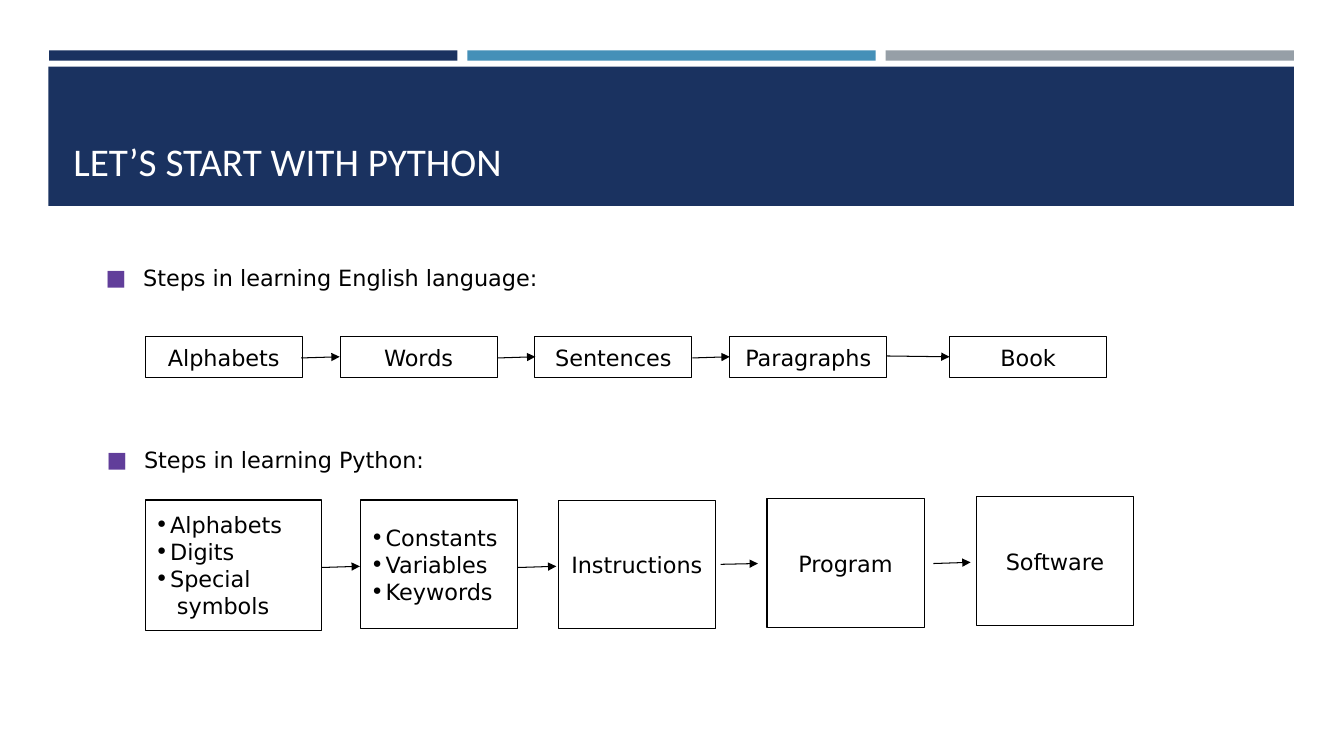
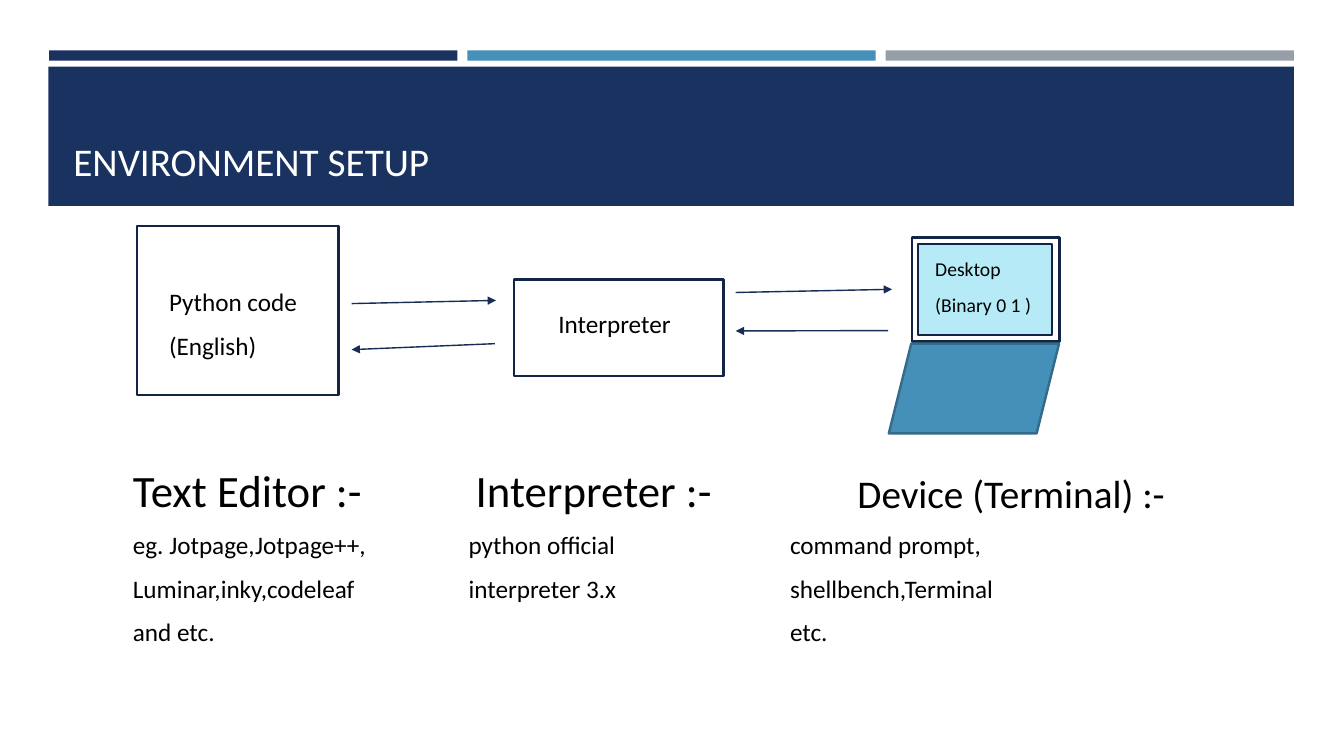
import pptx
import pptx.util
import pptx.dml.color
import pptx.enum.shapes
import pptx.enum.text
import pptx.oxml
import pptx.oxml.ns

Cm = pptx.util.Cm
Pt = pptx.util.Pt
KIND = pptx.enum.shapes.MSO_SHAPE
ALIGN = pptx.enum.text.PP_ALIGN
ANCHOR = pptx.enum.text.MSO_ANCHOR
RGB = pptx.dml.color.RGBColor.from_string
NS = pptx.oxml.ns.nsdecls("a")

HUES = {
    "navy": "1A3260", "blue": "4590B8", "grey": "969FA7",
    "edge": "132547", "rim": "336B88", "arrow": "172D56",
    "sky": "B5EAF6", "mark": "613E9A", "white": "FFFFFF", "black": "000000",
}
SANS = "DejaVu Sans"
BODY = "Calibri"


def draw(slide, at, fill=None, line=None, width=0.75, kind=KIND.RECTANGLE):
    shape = slide.shapes.add_shape(kind, *map(Cm, at))
    shape.shadow.inherit = False
    if fill:
        shape.fill.solid()
        shape.fill.fore_color.rgb = RGB(HUES[fill])
    else:
        shape.fill.background()
    if line:
        shape.line.color.rgb = RGB(HUES[line])
        shape.line.width = Pt(width)
    else:
        shape.line.fill.background()
    return shape


def write(shape, text, size, font=BODY, hue="black", anchor=ANCHOR.TOP,
          align=ALIGN.LEFT, lead=1, after=0, inset=(0.25, 0.13)):
    frame = shape.text_frame
    frame.text = text
    frame.word_wrap = True
    frame.vertical_anchor = anchor
    frame.margin_left, frame.margin_top = map(Cm, inset)
    for para in frame.paragraphs:
        para.alignment = align
        para.line_spacing = lead
        para.space_after = Pt(after)
        for run in para.runs:
            run.font.size = Pt(size)
            run.font.name = font
            run.font.color.rgb = RGB(HUES[hue])
    return frame.paragraphs


deck = pptx.Presentation()
deck.slide_width = Cm(33.87)
deck.slide_height = Cm(19.05)

slides = []
for title in ("LET’S START WITH PYTHON", "ENVIRONMENT SETUP"):
    slide = deck.slides.add_slide(deck.slide_layouts[6])
    for i, hue in enumerate(("navy", "blue", "grey")):
        draw(slide, (1.24 + 10.54 * i, 1.27, 10.29, 0.26), hue)
    draw(slide, (1.22, 1.68, 31.39, 3.51), "navy")
    box = slide.shapes.add_textbox(Cm(1.6), Cm(2.03), Cm(30.63), Cm(2.74))
    write(box, title, 28, hue="white", anchor=ANCHOR.BOTTOM)
    slides.append(slide)
steps, setup = slides

bullets = []
for left, top, text in (
    (2.39, 6.38, "Steps in learning English language:"),
    (2.41, 10.97, "Steps in learning Python:"),
):
    box = steps.shapes.add_textbox(Cm(left), Cm(top), Cm(20.6), Cm(1.2))
    para = write(box, text, 16, SANS, lead=1.2)[0]
    para.space_before = Pt(3.2)
    bullets.append((para, "▪", 0.97, "mark", 150))

words = ("Alphabets", "Words", "Sentences", "Paragraphs")
cells = [(word, (3.66 + 4.91 * i, 8.48, 3.96, 1.04)) for i, word in enumerate(words)]
cells += [
    ("Book", (23.93, 8.48, 3.96, 1.04)),
    ("Instructions", (14.07, 12.62, 3.96, 3.23)),
    ("Program", (19.33, 12.57, 3.96, 3.25)),
    ("Software", (24.61, 12.52, 3.96, 3.25)),
]
for text, at in cells:
    box = draw(steps, at, "white", "black")
    write(box, text, 16, SANS, anchor=ANCHOR.MIDDLE, align=ALIGN.CENTER)

for text, at in (
    ("Alphabets\nDigits\nSpecial\nsymbols", (3.66, 12.6, 4.45, 3.28)),
    ("Constants\nVariables\nKeywords", (9.09, 12.6, 3.96, 3.25)),
):
    box = draw(steps, at, "white", "black")
    for para in write(box, text, 16, SANS, anchor=ANCHOR.MIDDLE):
        if para.text == "symbols":
            para._p.get_or_add_pPr().set("marL", str(Cm(0.55)))
        else:
            bullets.append((para, "•", 0.38, "black", 100))

for para, char, dent, hue, size in bullets:
    props = para._p.get_or_add_pPr()
    props.set("marL", str(Cm(dent)))
    props.set("indent", str(-Cm(dent)))
    for tag in (
        f'<a:buClr {NS}><a:srgbClr val="{HUES[hue]}"/></a:buClr>',
        f'<a:buSzPct {NS} val="{size * 1000}"/>',
        f'<a:buFont {NS} typeface="{SANS}"/>',
        f'<a:buChar {NS} char="{char}"/>',
    ):
        props.append(pptx.oxml.parse_xml(tag))

code = draw(setup, (3.45, 5.69, 5.08, 4.27), None, "edge", 1.75)
write(code, "Python code\n(English)", 18, lead=1.07, after=8, inset=(0.81, 1.48))
draw(setup, (22.99, 5.99, 3.71, 2.62), None, "edge", 1.75)
draw(setup, (22.4, 8.66, 4.29, 2.26), "blue", "rim", 1.75, KIND.PARALLELOGRAM)
screen = draw(setup, (23.14, 6.15, 3.38, 2.29), "sky", "edge", 1.75)
write(screen, "Desktop\n(Binary 0 1 )", 14, lead=1.07, after=8, inset=(0.43, 0.28))
middle = draw(setup, (12.95, 7.04, 5.28, 2.44), None, "edge", 1.75)
write(middle, "Interpreter", 18, inset=(1.12, 0.74))

for left, dent, size, head, text in (
    (3.1, 0, 32, "Text Editor :-", "eg. Jotpage,Jotpage++,\nLuminar,inky,codeleaf\nand etc."),
    (11.56, 0.18, 32, "Interpreter :-", "python official\ninterpreter 3.x"),
    (19.66, 1.7, 28, "Device (Terminal) :-", "command prompt,\nshellbench,Terminal\netc."),
):
    box = setup.shapes.add_textbox(Cm(left + dent), Cm(11.4), Cm(8.8), Cm(1.73))
    write(box, head, size, anchor=ANCHOR.BOTTOM, lead=1.07)
    box = setup.shapes.add_textbox(Cm(left), Cm(13.16), Cm(8), Cm(3.4))
    write(box, text, 18, lead=1.07, after=8)

tips = [(steps, "black", 0.75, ends) for ends in (
    (7.59, 9.02, 8.56, 8.99), (12.55, 9.02, 13.49, 8.99),
    (17.45, 9.02, 18.39, 8.99), (22.35, 8.97, 23.93, 8.99),
    (8.1, 14.3, 9.07, 14.27), (13.06, 14.3, 14.02, 14.27),
    (18.16, 14.22, 19.1, 14.2), (23.52, 14.2, 24.46, 14.17),
)]
tips += [(setup, "arrow", 1, ends) for ends in (
    (8.86, 7.65, 12.5, 7.57), (18.54, 7.37, 22.48, 7.29),
    (22.38, 8.33, 18.54, 8.34), (12.47, 8.66, 8.86, 8.81),
)]
for slide, hue, width, ends in tips:
    line = slide.shapes.add_connector(pptx.enum.shapes.MSO_CONNECTOR.STRAIGHT, *map(Cm, ends))
    line.line.color.rgb = RGB(HUES[hue])
    line.line.width = Pt(width)
    line.line._get_or_add_ln().append(
        pptx.oxml.parse_xml(f'<a:tailEnd {NS} type="triangle"/>'))
    line._element.spPr.append(pptx.oxml.parse_xml(f"<a:effectLst {NS}/>"))

deck.save("out.pptx")
